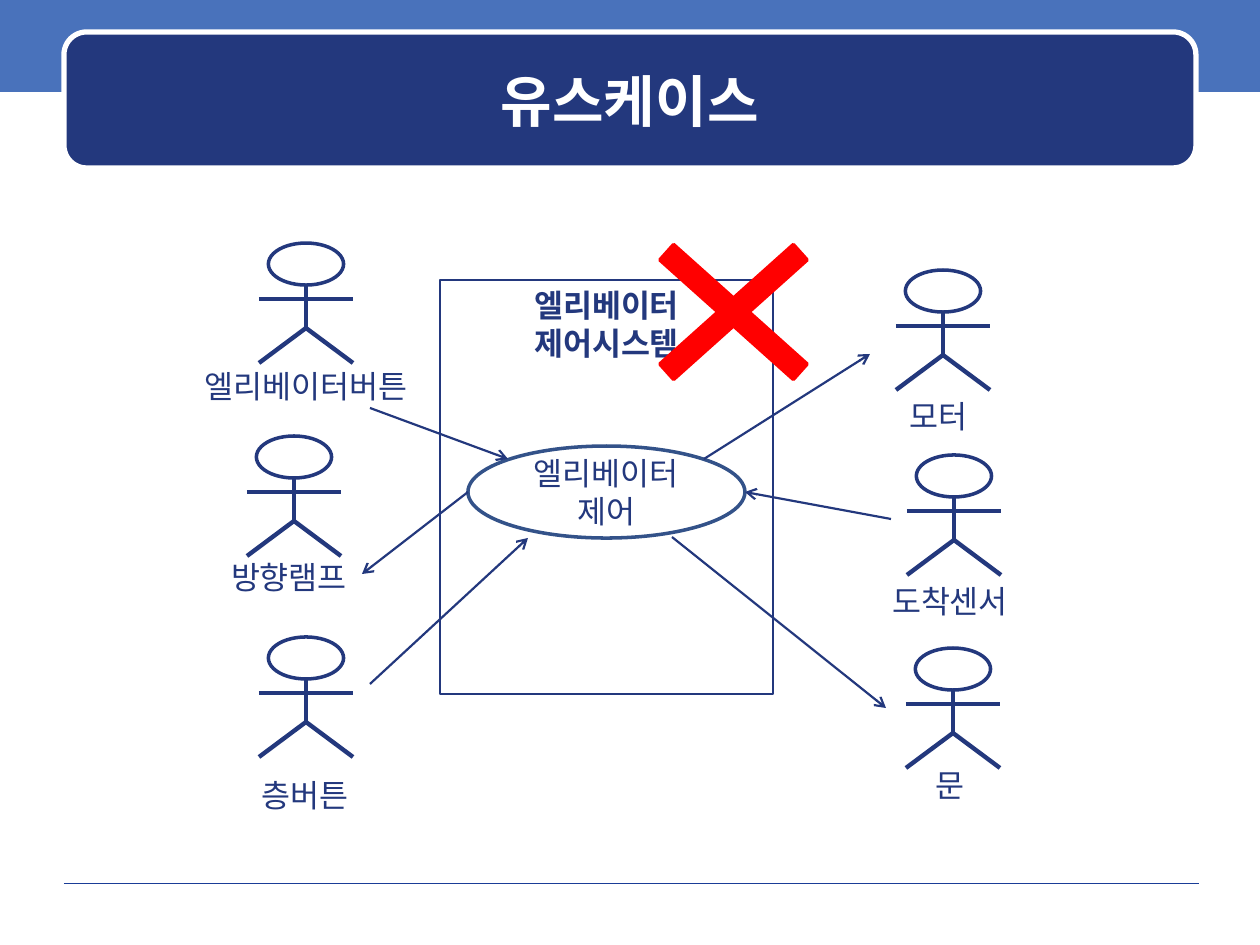
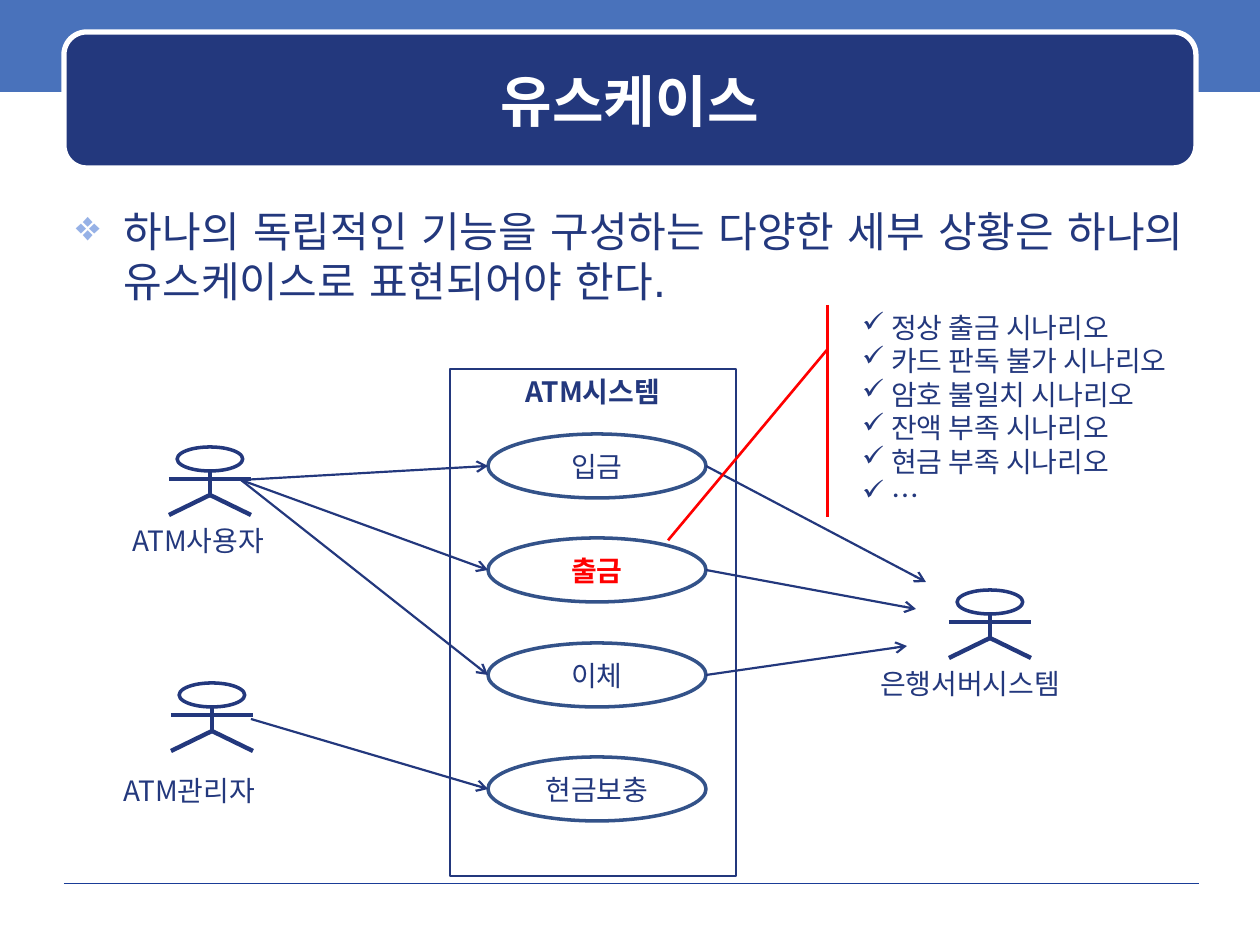
from lxml import etree
from pptx import Presentation
from pptx.dml.color import RGBColor
from pptx.enum.shapes import MSO_CONNECTOR, MSO_SHAPE
from pptx.enum.text import MSO_ANCHOR, PP_ALIGN
from pptx.oxml.ns import qn
from pptx.util import Emu, Pt

RECT, ROUND, OVAL = MSO_SHAPE.RECTANGLE, MSO_SHAPE.ROUNDED_RECTANGLE, MSO_SHAPE.OVAL
CROSS, CALLOUT = MSO_SHAPE.MATH_MULTIPLY, MSO_SHAPE.LINE_CALLOUT_1_ACCENT_BAR
STRAIGHT = MSO_CONNECTOR.STRAIGHT
LEFT, CENTER = PP_ALIGN.LEFT, PP_ALIGN.CENTER
TOP, MIDDLE = MSO_ANCHOR.TOP, MSO_ANCHOR.MIDDLE

NAVY, BLUE, RULE, OVAL_LINE = "23387D", "4972BB", "1A3D97", "335289"
BULLET, RED, WHITE = "96B1E6", "FF0000", "FFFFFF"
HEAD_FONT, BODY_FONT = "DejaVu Sans", "Noto Sans CJK KR"
TITLE = "유스케이스"

# Actors: label, centre x, head top, label centre x, label centre y
ELEVATOR_ACTORS = [
    ("엘리베이터버튼", 306, 243, 306, 386),
    ("방향램프", 294, 436, 289, 577),
    ("층버튼", 306, 637, 305, 795),
    ("모터", 943, 270, 939, 416),
    ("도착센서", 954, 455, 950, 601),
    ("문", 953, 648, 950, 785),
]
ELEVATOR_SYSTEM = ["엘리베이터", "제어시스템"]
ELEVATOR_CASE = ["엘리베이터", "제어"]
ELEVATOR_ARROWS = [
    (370, 408, 508, 459), (468, 492, 362, 574), (370, 684, 528, 538),
    (704, 459, 870, 354), (891, 519, 745, 492), (672, 537, 886, 708),
]

ATM_RULE = "하나의 독립적인 기능을 구성하는 다양한 세부 상황은 하나의 유스케이스로 표현되어야 한다."
ATM_ACTORS = [
    ("ATM사용자", 210, 447, 198, 540),
    ("ATM관리자", 212, 683, 189, 790),
    ("은행서버시스템", 990, 590, 970, 683),
]
USER_HAND, ADMIN_HAND = (241, 480), (251, 719)
# Use cases: name, top, where its arrow starts, where its arrow leads, format
ATM_CASES = [
    ("입금", 434, USER_HAND, (926, 582), {}),
    ("출금", 538, USER_HAND, (916, 609), {"color": RED, "bold": True}),
    ("이체", 643, USER_HAND, (907, 646), {}),
    ("현금보충", 757, ADMIN_HAND, None, {}),
]
SCENARIOS = ["정상 출금 시나리오", "카드 판독 불가 시나리오", "암호 불일치 시나리오",
             "잔액 부족 시나리오", "현금 부족 시나리오", "…"]


def px(n):
    return Emu(round(n * 914400 / 126))


def rgb(color):
    return RGBColor.from_string(color)


def add_bullet(p, char, color, indent):
    pPr = p._p.get_or_add_pPr()
    pPr.set("marL", str(px(indent)))
    pPr.set("indent", str(-px(indent)))
    bu_color = etree.SubElement(pPr, qn("a:buClr"))
    etree.SubElement(bu_color, qn("a:srgbClr")).set("val", color)
    etree.SubElement(pPr, qn("a:buChar")).set("char", char)


def write(sp, lines, size=18, color=NAVY, bold=False, font=BODY_FONT, align=CENTER,
          anchor=MIDDLE, inset=0, wrap=True, bullet=None):
    tf = sp.text_frame
    tf.word_wrap = wrap
    tf.vertical_anchor = anchor
    tf.margin_left = tf.margin_right = px(inset)
    tf.margin_top = tf.margin_bottom = px(6)
    for i, line in enumerate(lines):
        p = tf.add_paragraph() if i else tf.paragraphs[0]
        p.alignment = align
        p.line_spacing = Pt(round(size * 1.2, 1))
        if bullet:
            add_bullet(p, *bullet)
        r = p.add_run()
        r.text = line
        r.font.size = Pt(size)
        r.font.bold = bold
        r.font.name = font
        r.font.color.rgb = rgb(color)
        etree.SubElement(r._r.get_or_add_rPr(), qn("a:ea")).set("typeface", font)


def add_shape(shapes, kind, x, y, w, h, fill=None, line=None, width=1):
    sp = shapes.add_shape(kind, px(x), px(y), px(w), px(h))
    sp.shadow.inherit = False
    if fill:
        sp.fill.solid()
        sp.fill.fore_color.rgb = rgb(fill)
    else:
        sp.fill.background()
    if line:
        sp.line.color.rgb = rgb(line)
        sp.line.width = Pt(width)
    else:
        sp.line.fill.background()
    return sp


def add_line(shapes, x1, y1, x2, y2, color=NAVY, width=1.25, arrow=False):
    c = shapes.add_connector(STRAIGHT, px(x1), px(y1), px(x2), px(y2))
    c.line.color.rgb = rgb(color)
    c.line.width = Pt(width)
    if arrow:
        etree.SubElement(c.line._get_or_add_ln(), qn("a:tailEnd")).set("type", "arrow")
    etree.SubElement(c._element.spPr, qn("a:effectLst"))


def add_actor(s, actor, w, h, size):
    label, cx, top, label_x, label_y = actor
    neck, arms, hip, feet = (top + round(h * k) for k in (0.35, 0.47, 0.71, 1))
    left, right = cx - w / 2, cx + w / 2
    figure = s.shapes.add_group_shape().shapes
    add_shape(figure, OVAL, cx - w * 0.4, top, w * 0.8, neck - top, line=NAVY, width=2)
    for ends in [(cx, neck, cx, hip), (left, arms, right, arms),
                 (cx, hip, left, feet), (cx, hip, right, feet)]:
        add_line(figure, *ends, width=2.5)
    box = s.shapes.add_textbox(px(label_x - 120), px(label_y - 25), px(240), px(50))
    write(box, [label], size=size)


def add_base(prs):
    s = prs.slides.add_slide(prs.slide_layouts[6])
    add_shape(s.shapes, RECT, 0, -4, 1260, 96, fill=BLUE)
    add_line(s.shapes, 64, 883, 1199, 883, color=RULE, width=0.25)
    band = add_shape(s.shapes, ROUND, 64, 32, 1132, 136, fill=NAVY, line=WHITE, width=3)
    write(band, [TITLE], size=32, color=WHITE, bold=True, font=HEAD_FONT)
    return s


def elevator_slide(prs):
    s = add_base(prs)
    for actor in ELEVATOR_ACTORS:
        add_actor(s, actor, 94, 120, 18)
    system = add_shape(s.shapes, RECT, 440, 280, 333, 414, line=NAVY, width=1.25)
    write(system, ELEVATOR_SYSTEM, bold=True, anchor=TOP)
    case = add_shape(s.shapes, OVAL, 468, 446, 277, 92, line=OVAL_LINE, width=2)
    write(case, ELEVATOR_CASE)
    for ends in ELEVATOR_ARROWS:
        add_line(s.shapes, *ends, arrow=True)
    cross = add_shape(s.shapes, CROSS, 605, 197, 257, 230, fill=RED, line=RED, width=2)
    cross.adjustments[0] = 0.09


def atm_slide(prs):
    s = add_base(prs)
    body = s.shapes.add_textbox(px(63), px(199), px(1134), px(135))
    write(body, [ATM_RULE], size=24, font=HEAD_FONT, align=LEFT, anchor=TOP,
          inset=13, bullet=("❖", BULLET, 48))
    for actor in ATM_ACTORS:
        add_actor(s, actor, 82, 68, 16)
    system = add_shape(s.shapes, RECT, 450, 369, 286, 507, line=NAVY, width=1.25)
    write(system, ["ATM시스템"], size=16, bold=True, anchor=TOP)

    # Use cases with their arrows
    x, w, h = 488, 218, 64
    for name, top, source, target, style in ATM_CASES:
        case = add_shape(s.shapes, OVAL, x, top, w, h, line=OVAL_LINE, width=2)
        write(case, [name], size=16, **style)
        mid = top + h // 2
        add_line(s.shapes, *source, x, mid, arrow=True)
        if target:
            add_line(s.shapes, x + w, mid, *target, arrow=True)

    # Callout: pointer start y, x and end y, x as shares of its box
    note = add_shape(s.shapes, CALLOUT, 849, 305, 362, 212, line=RED, width=1.5)
    for i, share in enumerate((0.21, -0.06, 1.11, -0.5)):
        note.adjustments[i] = share
    write(note, SCENARIOS, size=16, align=LEFT, inset=13, bullet=("✓", NAVY, 29))


def main():
    prs = Presentation()
    prs.slide_width, prs.slide_height = px(1260), px(945)
    elevator_slide(prs)
    atm_slide(prs)
    prs.save("out.pptx")


if __name__ == "__main__":
    main()
